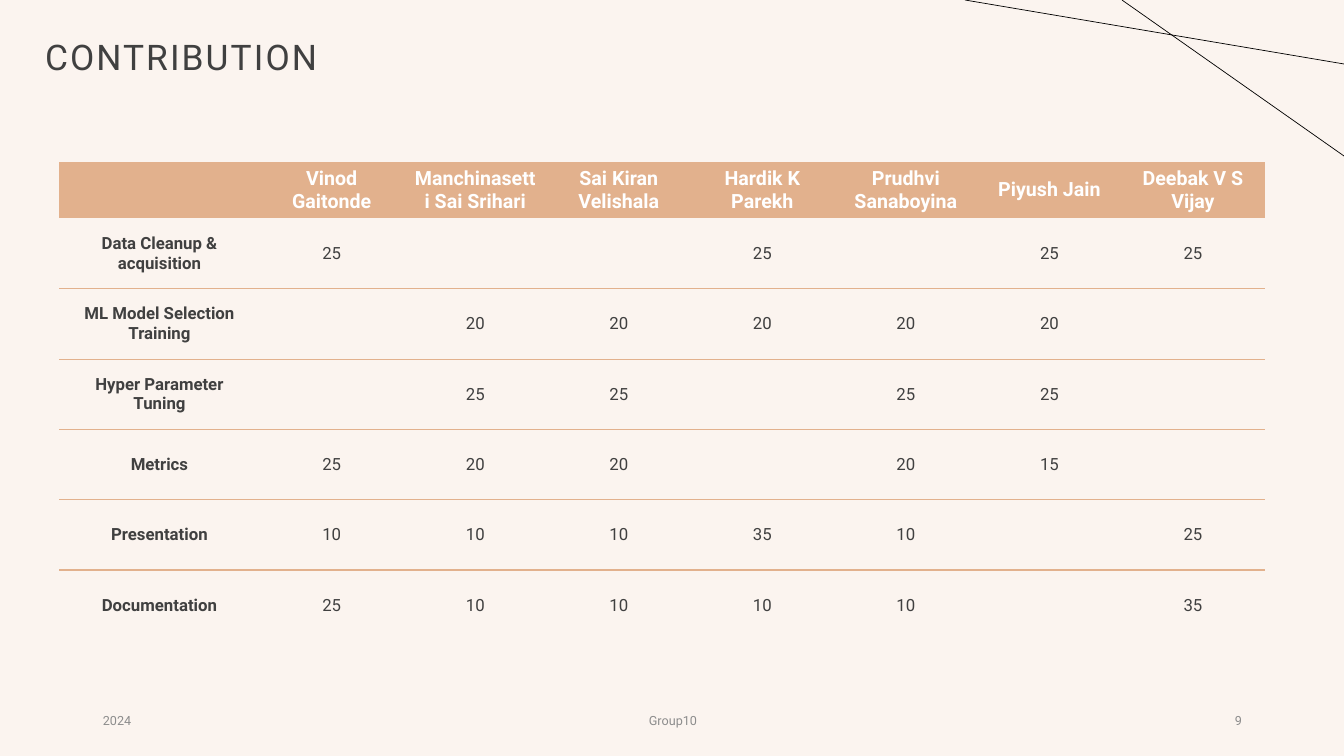
from lxml.etree import SubElement
from pptx import Presentation
from pptx.dml.color import RGBColor
from pptx.enum.shapes import MSO_CONNECTOR
from pptx.enum.text import MSO_ANCHOR, MSO_AUTO_SIZE, PP_ALIGN
from pptx.oxml import parse_xml
from pptx.oxml.ns import nsdecls, qn
from pptx.util import Emu, Pt

CREAM = RGBColor(0xFB, 0xF4, 0xEF)
PEACH = RGBColor(0xE2, 0xB1, 0x8D)
CHARCOAL = RGBColor(0x40, 0x40, 0x40)
GRAY = RGBColor(0x8C, 0x8C, 0x8C)
WHITE = RGBColor(0xFF, 0xFF, 0xFF)
BLACK = RGBColor(0, 0, 0)

TITLE = "CONTRIBUTION"
MEMBERS = ["Vinod Gaitonde", "Manchinasetti Sai Srihari", "Sai Kiran Velishala",
           "Hardik K Parekh", "Prudhvi Sanaboyina", "Piyush Jain", "Deebak V S Vijay"]
CONTRIBUTIONS = {
    "Data Cleanup & acquisition": [25, "", "", 25, "", 25, 25],
    "ML Model Selection Training": ["", 20, 20, 20, 20, 20, ""],
    "Hyper Parameter Tuning": ["", 25, 25, "", 25, 25, ""],
    "Metrics": [25, 20, 20, "", 20, 15, ""],
    "Presentation": [10, 10, 10, 35, 10, "", 25],
    "Documentation": [25, 10, 10, 10, 10, "", 35],
}
# Text, left, width, alignment
FOOTERS = [("2024", 93, 302, PP_ALIGN.LEFT),
           ("Group10", 446, 454, PP_ALIGN.CENTER),
           ("9", 950, 302, PP_ALIGN.RIGHT)]
FOOTER_TOP, FOOTER_HEIGHT = 701, 40
CORNER_LINES = [(1122, 0, 1344, 156), (965, 0, 1344, 64)]

SLIDE_SIZE = (1344, 756)
TITLE_BOX = (45, 40, 575, 39)
TABLE_LEFT, TABLE_TOP, TABLE_WIDTH = 59, 162, 1206
TASK_WIDTH, HEADER_HEIGHT, BODY_HEIGHT = 201, 56, 422
NO_STYLE = "{2D5ABB26-0587-4C30-8999-92F81FD0307C}"


def px(length):
    return Emu(round(length * 914400 / 100.8))


def write(frame, text, align, size, color, bold=False):
    frame.word_wrap = True
    frame.vertical_anchor = MSO_ANCHOR.MIDDLE
    paragraph = frame.paragraphs[0]
    paragraph.alignment = align
    run = paragraph.add_run()
    run.text = text
    run.font.color.rgb = color
    for name, value in {"name": "Roboto", "size": Pt(size), "bold": bold}.items():
        setattr(run.font, name, value)
    return run


def add_title(slide):
    title = slide.shapes.title
    for name, value in zip(("left", "top", "width", "height"), TITLE_BOX):
        setattr(title, name, px(value))
    frame = title.text_frame
    frame.auto_size = MSO_AUTO_SIZE.NONE
    frame.margin_left = 0
    run = write(frame, TITLE, PP_ALIGN.LEFT, 25.2, CHARCOAL)
    run.font._element.set("spc", "150")
    frame.paragraphs[0].line_spacing = 0.9


def rule_below(cell):
    """Draw a one-point line under a cell."""
    cell._tc.get_or_add_tcPr().insert(0, parse_xml(
        f'<a:lnB {nsdecls("a")} w="{Pt(1)}"><a:solidFill>'
        f'<a:srgbClr val="{PEACH}"/></a:solidFill></a:lnB>'))


def add_contributions(slide):
    rows = [["", *MEMBERS]] + [[task, *shares] for task, shares in CONTRIBUTIONS.items()]
    last = len(rows) - 1
    table = slide.shapes.add_table(
        len(rows), len(rows[0]), px(TABLE_LEFT), px(TABLE_TOP),
        px(TABLE_WIDTH), px(HEADER_HEIGHT + BODY_HEIGHT)).table
    table.horz_banding = False
    table._tbl.tblPr.find(qn("a:tableStyleId")).text = NO_STYLE
    member_width = (TABLE_WIDTH - TASK_WIDTH) / len(MEMBERS)
    for c, column in enumerate(table.columns):
        column.width = px(member_width if c else TASK_WIDTH)
    for r, values in enumerate(rows):
        table.rows[r].height = px(BODY_HEIGHT / last if r else HEADER_HEIGHT)
        for c, value in enumerate(values):
            cell = table.cell(r, c)
            cell.vertical_anchor = MSO_ANCHOR.MIDDLE
            if r == 0:
                cell.fill.solid()
                cell.fill.fore_color.rgb = PEACH
            else:
                cell.fill.background()
            if 0 < r < last:
                rule_below(cell)
            if value != "":
                size, color = (12, CHARCOAL) if r else (14, WHITE)
                write(cell.text_frame, str(value), PP_ALIGN.CENTER, size, color,
                      bold=r == 0 or c == 0)


def add_footers(slide):
    for text, left, width, align in FOOTERS:
        footer = slide.shapes.add_textbox(px(left), px(FOOTER_TOP), px(width), px(FOOTER_HEIGHT))
        write(footer.text_frame, text, align, 9, GRAY)


def add_corner_lines(slide):
    for ends in CORNER_LINES:
        line = slide.shapes.add_connector(MSO_CONNECTOR.STRAIGHT, *map(px, ends))
        line.line.color.rgb = BLACK
        line.line.width = Pt(0.5)
        SubElement(line._element.spPr, qn("a:effectLst"))


def main():
    deck = Presentation()
    deck.slide_width, deck.slide_height = map(px, SLIDE_SIZE)
    slide = deck.slides.add_slide(deck.slide_layouts.get_by_name("Title Only"))
    slide.background.fill.solid()
    slide.background.fill.fore_color.rgb = CREAM
    add_title(slide)
    add_contributions(slide)
    add_footers(slide)
    add_corner_lines(slide)
    deck.save("out.pptx")


if __name__ == "__main__":
    main()
